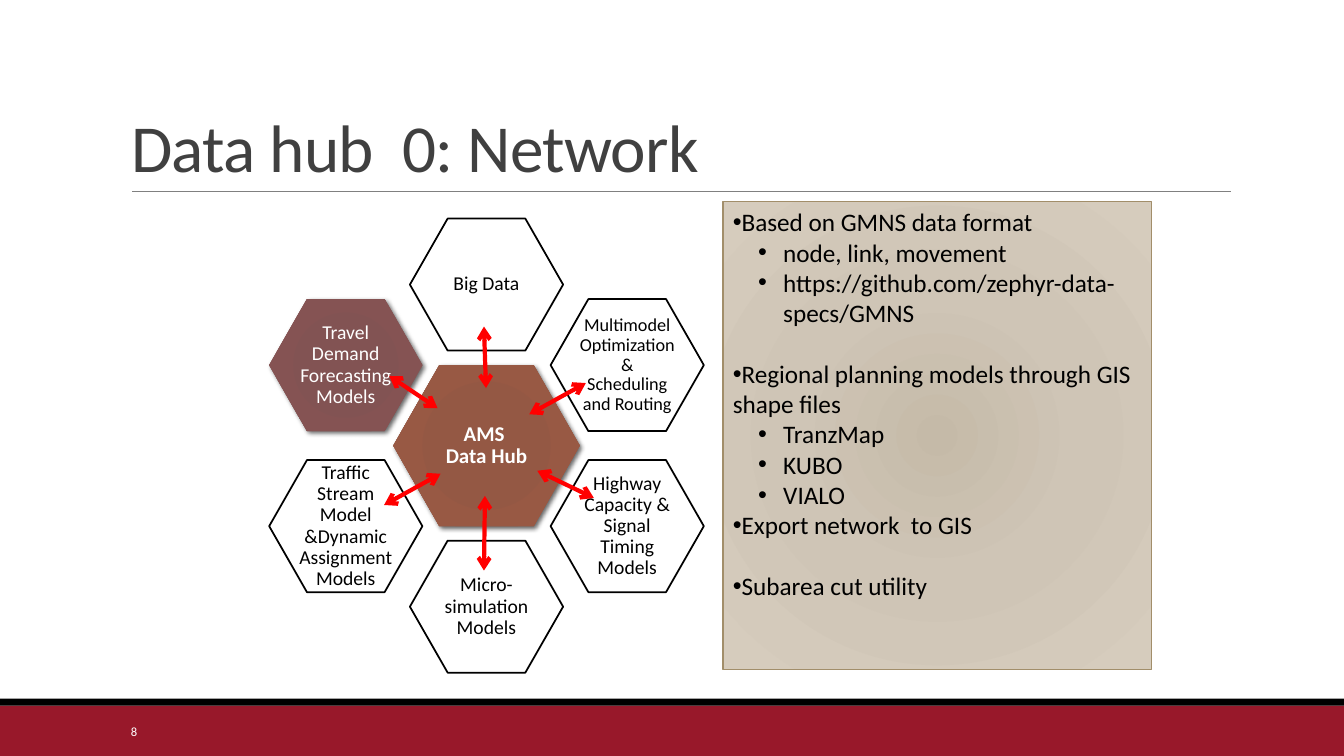
from pptx import Presentation, util as u
from pptx.dml.color import RGBColor
from pptx.enum import shapes, text
from pptx.oxml import parse_xml
from pptx.oxml.ns import nsdecls, qn

BLACK, WHITE, RED = "000000", "FFFFFF", "FF0000"
LEFT, MID = text.PP_ALIGN.LEFT, text.PP_ALIGN.CENTER
TOP, CENTRE, BASE = (text.MSO_ANCHOR.TOP, text.MSO_ANCHOR.MIDDLE,
                     text.MSO_ANCHOR.BOTTOM)

HUB = (36.2, 58.95)
STEP = (10.47, 10.65)
RUST = [(0, "945742"), (34, "945844"), (70, "985944"), (100, "98604E")]
PLUM = [(0, "825151"), (34, "825353"), (70, "855353"), (100, "875B5B")]
SAND = [(0, "C5BAA8"), (45, "CFC5B6"), (100, "D6CCBD")]

# steps from the hub, label, size, inner and outer arrow ends
SPOKES = [
    ((0, -2), "Big Data", 14, (36.16, 51.33), (36.01, 43.2)),
    ((1, -1), "Multimodel Optimization&\nScheduling and Routing", 13,
     (39.38, 54.8), (43.59, 50.67)),
    ((1, 1), "Highway Capacity & Signal Timing Models", 14,
     (39.98, 62.27), (44.19, 65.87)),
    ((0, 2), "Micro-simulation Models", 14, (36.08, 65.6), (36.01, 75.47)),
    ((-1, 1), "Traffic Stream Model &Dynamic Assignment Models", 14,
     (32.78, 62.67), (28.58, 66.8)),
    ((-1, -1), "Travel Demand Forecasting Models", 14,
     (32.56, 54), (28.96, 49.73)),
]

# level, gap above in points, words
NOTES = [
    (0, 0, "Based on GMNS data format"),
    (1, 0, "node, link, movement"),
    (1, 0, "https://github.com/zephyr-data-specs/GMNS"),
    (0, 22, "Regional planning models through GIS shape files"),
    (1, 0, "TranzMap"),
    (1, 0, "KUBO"),
    (1, 0, "VIALO"),
    (0, 0, "Export network  to GIS"),
    (0, 22, "Subarea cut utility"),
]


def rgb(code):
    return RGBColor.from_string(code)


def node(xml):
    """Parse one drawing element given without its namespace."""
    head, rest = xml.split(" ", 1)
    return parse_xml(f"{head} {nsdecls('a')} {rest}")


class Deck:
    """Holds the style and the slide; lengths are percent of its size."""

    face = "Calibri"

    def __init__(self):
        self.prs = Presentation()
        self.prs.slide_width = u.Inches(13.33)
        self.prs.slide_height = u.Inches(7.5)
        self.slide = self.prs.slides.add_slide(self.prs.slide_layouts[5])

    def spot(self, x, y):
        return (round(self.prs.slide_width * x / 100),
                round(self.prs.slide_height * y / 100))

    def box(self, x, y, w, h):
        return self.spot(x, y) + self.spot(w, h)

    def font(self, para, size, color, bold=False):
        font = para.font
        font.name, font.size, font.bold = self.face, u.Pt(size), bold
        font.color.rgb = rgb(color)

    def letter(self, shape, words, size, color, align=LEFT, anchor=CENTRE,
               lead=1.0, bold=False):
        frame = shape.text_frame
        frame.word_wrap, frame.vertical_anchor = True, anchor
        frame.text = words
        for para in frame.paragraphs:
            para.alignment, para.line_spacing = align, lead
            self.font(para, size, color, bold)

    def title(self, words, *at):
        shape = self.slide.shapes.title
        shape.left, shape.top, shape.width, shape.height = self.box(*at)
        self.letter(shape, words, 48, "404040", anchor=BASE, lead=0.85)
        shape.text_frame.auto_size = text.MSO_AUTO_SIZE.NONE
        run = shape.text_frame.paragraphs[0].runs[0]
        run._r.get_or_add_rPr().set("spc", "-50")

    def label(self, words, size, color, *at):
        shape = self.slide.shapes.add_textbox(*self.box(*at))
        self.letter(shape, words, size, color)

    def shape(self, kind, at, fill, line=None, width=1):
        """Add a shape; fill is a colour or a list of gradient stops."""
        shape = self.slide.shapes.add_shape(kind, *self.box(*at))
        shape.shadow.inherit = False
        if isinstance(fill, str):
            shape.fill.solid()
            shape.fill.fore_color.rgb = rgb(fill)
        else:
            self.blend(shape, fill)
        if line:
            shape.line.color.rgb = rgb(line)
            shape.line.width = u.Pt(width)
        else:
            shape.line.fill.background()
        return shape

    def blend(self, shape, stops):
        marks = "".join(f'<a:gs pos="{pos * 1000}"><a:srgbClr val="{code}"/>'
                        "</a:gs>" for pos, code in stops)
        shape.fill.background()
        props = shape._element.spPr
        props.replace(props.find(qn("a:noFill")), node(
            f'<a:gradFill rotWithShape="1"><a:gsLst>{marks}</a:gsLst>'
            '<a:path path="circle"><a:fillToRect l="50000" t="50000" '
            'r="50000" b="50000"/></a:path></a:gradFill>'))

    def shade(self, shape):
        shape._element.spPr.find(qn("a:effectLst")).append(node(
            '<a:outerShdw blurRad="44450" dist="25400" dir="2700000">'
            '<a:srgbClr val="000000"><a:alpha val="60000"/></a:srgbClr>'
            "</a:outerShdw>"))

    def hexa(self, mid, size, words, points, fill=None, bold=False):
        """Add a hexagon around mid: shaded if filled, else outlined."""
        (x, y), (w, h) = mid, size
        hexa = self.shape(shapes.MSO_SHAPE.HEXAGON,
                          (x - w / 2, y - h / 2, w, h), fill or WHITE,
                          None if fill else BLACK, 1.25)
        hexa.adjustments[0] = 0.286
        if fill:
            self.shade(hexa)
        frame = hexa.text_frame
        frame.margin_left = frame.margin_right = u.Inches(0.02)
        frame.margin_top = frame.margin_bottom = u.Inches(0.02)
        self.letter(hexa, words, points, WHITE if fill else BLACK, MID,
                    lead=0.9, bold=bold)

    def line(self, start, end, color, width, heads=False):
        line = self.slide.shapes.add_connector(
            shapes.MSO_CONNECTOR.STRAIGHT, *self.spot(*start),
            *self.spot(*end))
        line.line.color.rgb = rgb(color)
        line.line.width = u.Pt(width)
        props = line._element.spPr
        if heads:
            for end in ("head", "tail"):
                props.find(qn("a:ln")).append(
                    node(f'<a:{end}End type="arrow"/>'))
        props.append(node("<a:effectLst />"))

    def panel(self, notes, at):
        panel = self.shape(shapes.MSO_SHAPE.RECTANGLE, at, SAND, "A28E6A")
        frame = panel.text_frame
        frame.word_wrap, frame.vertical_anchor = True, TOP
        frame.text = "\n".join(words for _, _, words in notes)
        for para, (level, gap, _) in zip(frame.paragraphs, notes):
            para.alignment, para.level = LEFT, level
            if gap:
                para.space_before = u.Pt(gap)
            props = para._p.get_or_add_pPr()
            props.set("marL", str(level * u.Inches(0.5)))
            props.set("indent", str(-level * u.Inches(0.25)))
            props.append(node('<a:buFont typeface="Arial"/>'))
            props.append(node('<a:buChar char="•"/>'))
            self.font(para, 18, BLACK)


def main():
    deck = Deck()
    rect = shapes.MSO_SHAPE.RECTANGLE
    deck.shape(rect, (0, 93.33, 100, 6.67), "98182A")
    deck.shape(rect, (0, 92.4, 100, 0.93), BLACK)
    deck.line((9.83, 25.33), (91.6, 25.33), "808080", 0.5)
    deck.title("Data hub  0: Network", 9, 4.13, 82.5, 21.2)

    deck.hexa(HUB, (13.88, 21.33), "AMS \vData Hub", 15, RUST, bold=True)
    for (col, row), words, size, _, _ in SPOKES:
        mid = (HUB[0] + col * STEP[0], HUB[1] + row * STEP[1])
        fill = PLUM if words.startswith("Travel") else None
        deck.hexa(mid, (11.4, 17.47), words, size, fill)
    for *_, inner, outer in SPOKES:
        deck.line(inner, outer, RED, 3, heads=True)

    deck.panel(NOTES, (53.79, 26.67, 31.88, 61.87))
    deck.label("8", 9, WHITE, 9, 94.13, 20.25, 5.33)
    deck.prs.save("out.pptx")


if __name__ == "__main__":
    main()
